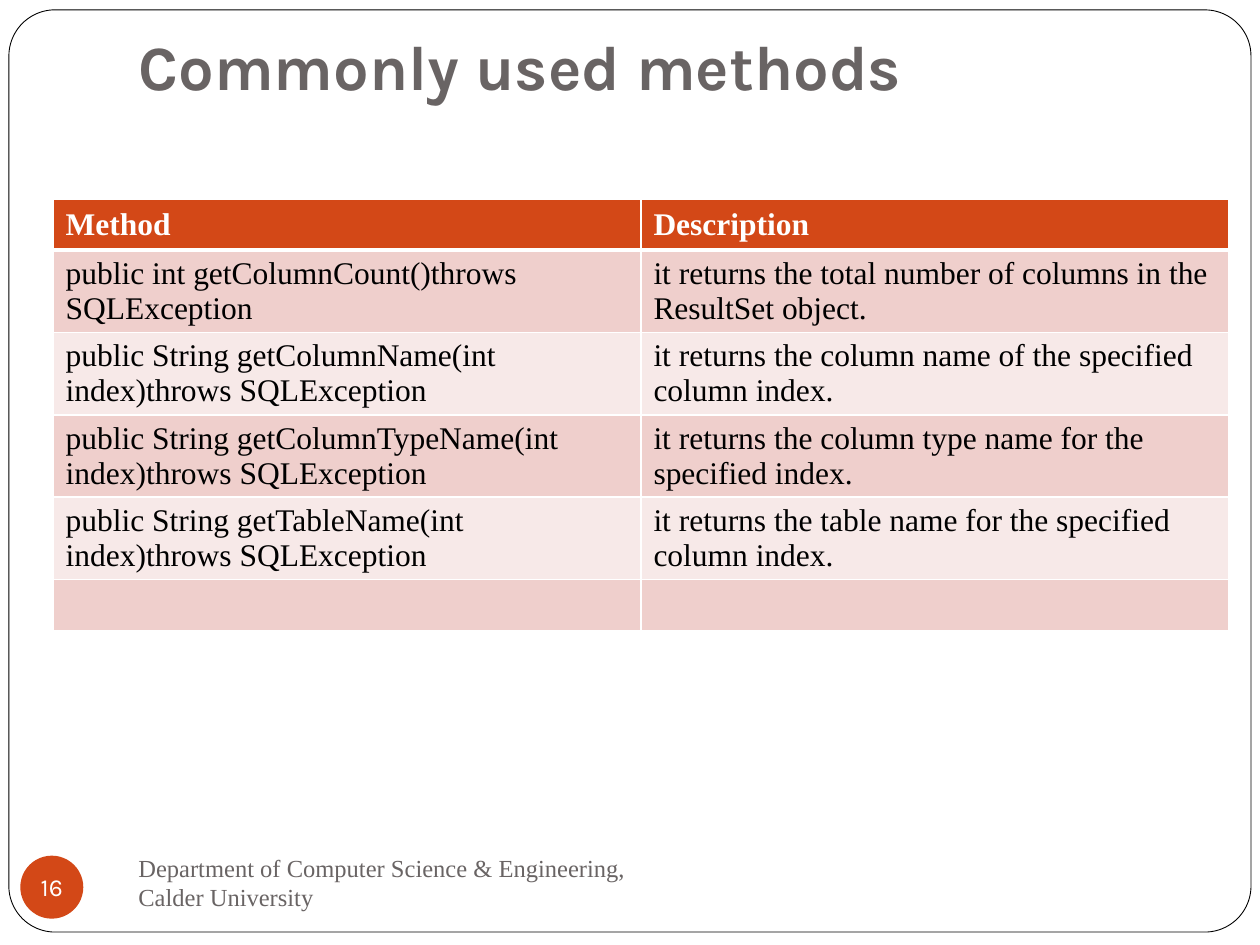
from dataclasses import dataclass

from lxml import etree
from pptx import Presentation
from pptx.dml.color import RGBColor
from pptx.enum import shapes, text
from pptx.oxml import ns
from pptx.util import Cm, Pt


@dataclass(frozen=True)
class Theme:
    accent: str = "D34817"
    grey: str = "696464"
    white: str = "FFFFFF"
    black: str = "000000"
    bands: tuple = ("EFCFCC", "F7E9E8")
    heading_font: str = "Karla"
    body_font: str = "Times New Roman"
    title_size: int = 36
    table_size: int = 18
    small_size: int = 14


THEME = Theme()

METHODS = [
    ("Method", "Description"),
    ("public int getColumnCount()throws SQLException",
     "it returns the total number of columns in the ResultSet object."),
    ("public String getColumnName(int index)throws SQLException",
     "it returns the column name of the specified column index."),
    ("public String getColumnTypeName(int index)throws SQLException",
     "it returns the column type name for the specified index."),
    ("public String getTableName(int index)throws SQLException",
     "it returns the table name for the specified column index."),
    ("", ""),
]


def set_attributes(target, values):
    for name, value in values.items():
        setattr(target, name, value)


def paint(fill, color):
    fill.solid()
    fill.fore_color.rgb = RGBColor.from_string(color)


def write(frame, words, font, size, color, bold=False,
          align=text.PP_ALIGN.LEFT):
    frame.text = words
    paragraph = frame.paragraphs[0]
    paragraph.alignment = align
    set_attributes(paragraph.font,
                   {"name": font, "size": Pt(size), "bold": bold})
    for run in paragraph.runs:
        set_attributes(run.font,
                       {"name": font, "size": Pt(size), "bold": bold})
        run.font.color.rgb = RGBColor.from_string(color)


def add_panel(slide, kind, left, top, width, height, fill):
    panel = slide.shapes.add_shape(
        kind, Cm(left), Cm(top), Cm(width), Cm(height))
    panel.shadow.inherit = False
    paint(panel.fill, fill)
    return panel


def add_frame(slide):
    """Draw the rounded page outline behind everything else."""
    outline = add_panel(slide, shapes.MSO_SHAPE.ROUNDED_RECTANGLE,
                        0.18, 0.2, 25.04, 18.59, THEME.white)
    outline.adjustments[0] = 0.05
    outline.line.width = Pt(0.5)
    outline.line.color.rgb = RGBColor.from_string(THEME.black)
    slide.shapes.element.insert(2, outline.element)


def format_title(slide, words):
    title = slide.shapes.title
    set_attributes(title, {"left": Cm(2.54), "top": Cm(0.76),
                           "width": Cm(21.59), "height": Cm(1.57)})
    set_attributes(title.text_frame, {
        "vertical_anchor": text.MSO_ANCHOR.BOTTOM,
        "auto_size": text.MSO_AUTO_SIZE.NONE,
        "margin_bottom": Cm(0.25)})
    write(title.text_frame, words, THEME.heading_font, THEME.title_size,
          THEME.grey, bold=True)


def set_borders(cell, **widths):
    """Give the cell white edges; widths are points by edge tag."""
    properties = cell._tc.get_or_add_tcPr()
    for place, (edge, width) in enumerate(widths.items()):
        line = etree.Element(ns.qn(f"a:{edge}"), w=str(Pt(width)))
        fill = etree.SubElement(line, ns.qn("a:solidFill"))
        etree.SubElement(fill, ns.qn("a:srgbClr"), val=THEME.white)
        properties.insert(place, line)


def add_methods_table(slide, rows):
    table = slide.shapes.add_table(
        len(rows), len(rows[0]), Cm(1.07), Cm(4.01), Cm(23.7),
        Cm(1.03) * len(rows)).table
    for row_number, row in enumerate(rows):
        header = row_number == 0
        for column, words in enumerate(row):
            cell = table.cell(row_number, column)
            cell.vertical_anchor = text.MSO_ANCHOR.MIDDLE
            write(cell.text_frame, words, THEME.body_font, THEME.table_size,
                  THEME.white if header else THEME.black, bold=header)
            paint(cell.fill, THEME.accent if header
                  else THEME.bands[(row_number - 1) % 2])
            set_borders(cell, lnL=1, lnR=1, lnT=3 if row_number == 1 else 1,
                        lnB=3 if header else 1)


def add_page_number(slide, number):
    badge = add_panel(slide, shapes.MSO_SHAPE.OVAL,
                      0.41, 17.25, 1.27, 1.27, THEME.accent)
    badge.line.fill.background()
    set_attributes(badge.text_frame, {
        "margin_left": 0, "margin_top": 0, "margin_right": 0,
        "margin_bottom": 0, "word_wrap": False,
        "vertical_anchor": text.MSO_ANCHOR.MIDDLE})
    write(badge.text_frame, number, THEME.heading_font, THEME.small_size,
          THEME.white, align=text.PP_ALIGN.CENTER)


def add_footer(slide, words):
    footer = slide.shapes.add_textbox(
        Cm(2.54), Cm(17.15), Cm(11), Cm(1.27)).text_frame
    set_attributes(footer, {"word_wrap": True,
                            "vertical_anchor": text.MSO_ANCHOR.MIDDLE})
    write(footer, words, THEME.body_font, THEME.small_size, THEME.grey)


def main():
    deck = Presentation()
    set_attributes(deck, {"slide_width": Cm(25.4), "slide_height": Cm(19.05)})
    slide = deck.slides.add_slide(deck.slide_layouts[5])
    add_frame(slide)
    format_title(slide, "Commonly used methods")
    add_methods_table(slide, METHODS)
    add_page_number(slide, "16")
    add_footer(slide, "Department of Computer Science & Engineering, "
                      "Calder University")
    deck.save("out.pptx")


if __name__ == "__main__":
    main()
